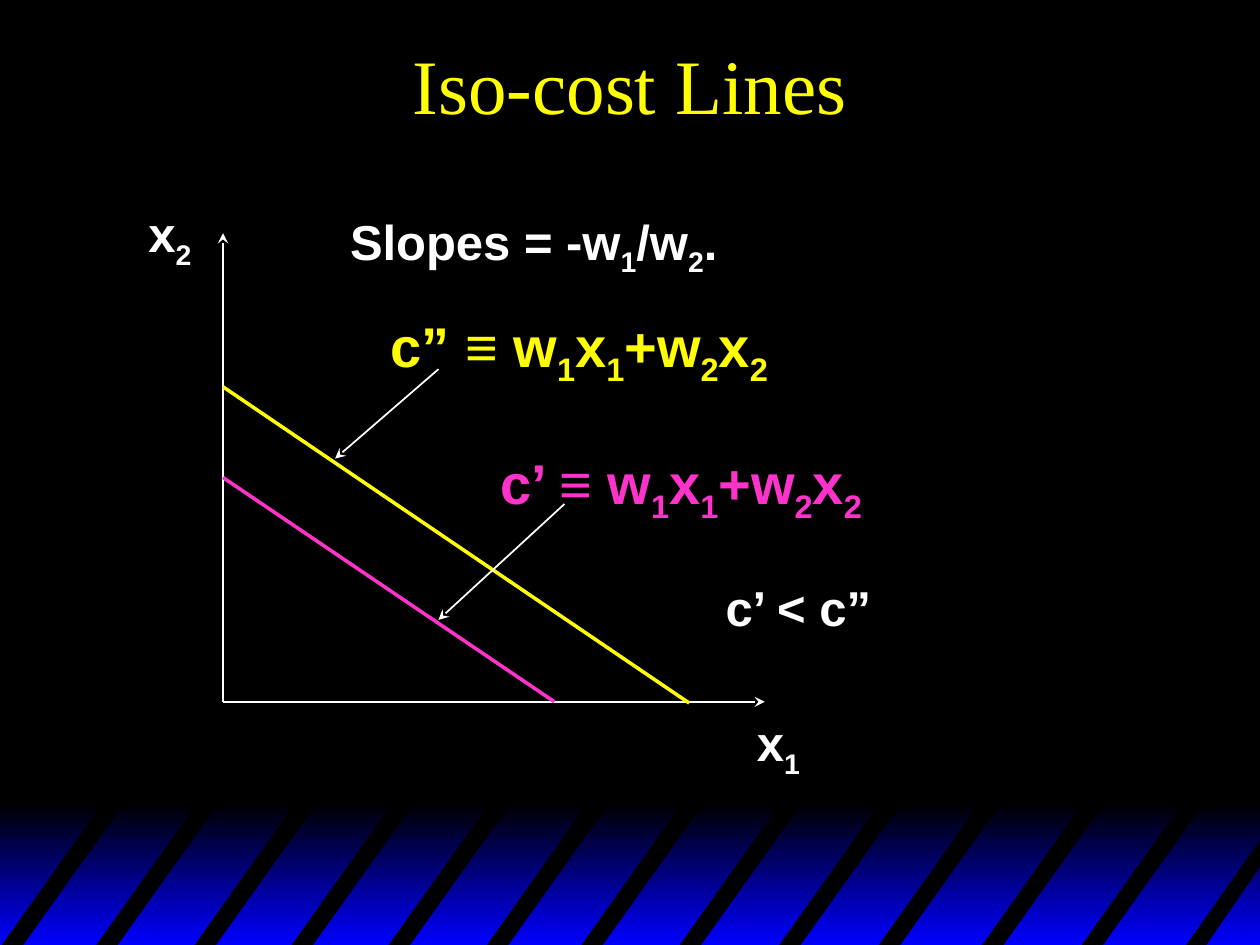
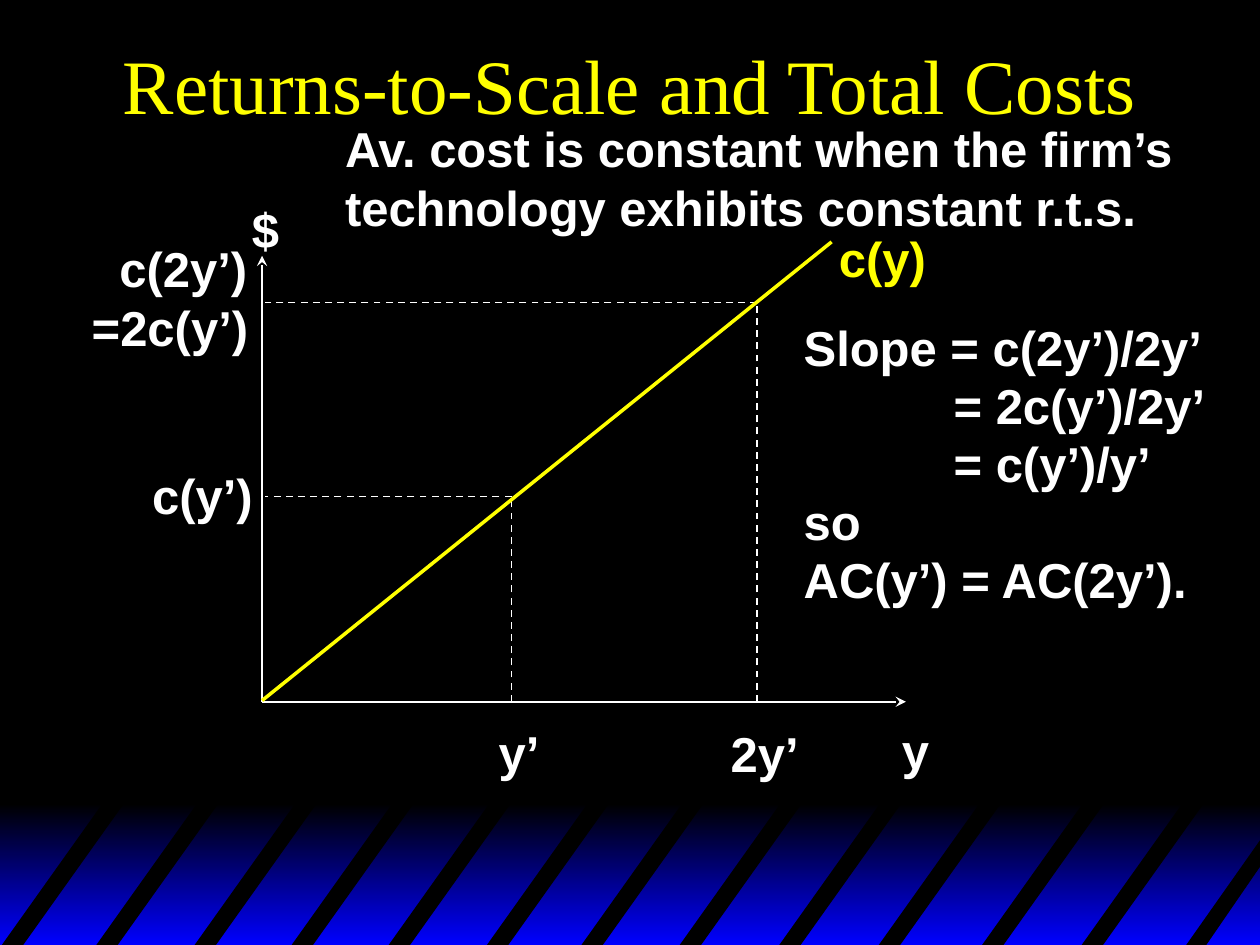
from dataclasses import dataclass

from lxml.etree import SubElement
from pptx import Presentation
from pptx.dml.color import RGBColor as RGB
from pptx.enum.dml import MSO_LINE
from pptx.enum.shapes import MSO_CONNECTOR as CONNECTOR, MSO_SHAPE as SHAPE
from pptx.enum.text import MSO_ANCHOR as ANCHOR, MSO_AUTO_SIZE as AUTO_SIZE, PP_ALIGN as ALIGN
from pptx.oxml.ns import qn
from pptx.util import Emu, Pt

SCALE = 9144
TITLE_ONLY = 5


def px(length):
    return Emu(length * SCALE)


@dataclass(frozen=True)
class Theme:
    black: RGB = RGB(0, 0, 0)
    blue: RGB = RGB(0, 0, 255)
    white: RGB = RGB(255, 255, 255)
    yellow: RGB = RGB(255, 255, 0)
    pink: RGB = RGB(255, 51, 204)
    title_font: str = "Times New Roman"
    body_font: str = "Arial"
    title_size: int = 44
    equation_size: int = 32
    body_size: int = 28
    thin: int = 1
    thick: int = 2
    inset: int = 5


class SlideBuilder:
    def __init__(self, deck, theme):
        self.deck = deck
        self.theme = theme
        self.page = None

    def new_page(self, title):
        theme = self.theme
        self.page = self.deck.slides.add_slide(self.deck.slide_layouts[TITLE_ONLY])
        box = self.page.shapes.title
        box.left, box.top, box.width, box.height = map(px, (0, 0, 1000, 133))
        frame = box.text_frame
        frame.vertical_anchor = ANCHOR.MIDDLE
        frame.auto_size = AUTO_SIZE.NONE
        para = frame.paragraphs[0]
        para.alignment = ALIGN.CENTER
        self.add_span(para, title, theme.title_font, theme.title_size, theme.yellow)

    def add_span(self, para, words, font, size, color, bold=False, subscript=False):
        span = para.add_run()
        span.text = words
        span.font.name = font
        span.font.size = Pt(size)
        span.font.bold = bold
        span.font.color.rgb = color
        if subscript:
            span._r.get_or_add_rPr().set("baseline", "-25000")

    def add_math(self, para, words, size, color):
        """An underscore lowers the one character that follows it."""
        plain, *lowered = words.split("_")
        pieces = [(plain, False)]
        for piece in lowered:
            pieces += [(piece[0], True), (piece[1:], False)]
        for piece, subscript in pieces:
            if piece:
                self.add_span(para, piece, self.theme.body_font, size, color, True, subscript)

    def add_text(self, left, top, width, height, *lines, color=None, size=None, indents=None, joined=False):
        theme = self.theme
        box = self.page.shapes.add_textbox(*map(px, (left, top, width, height)))
        frame = box.text_frame
        frame.word_wrap = False
        frame.auto_size = AUTO_SIZE.SHAPE_TO_FIT_TEXT
        para = frame.paragraphs[0]
        for row, words in enumerate(lines):
            if row and joined:
                para.add_line_break()
            elif row:
                para = frame.add_paragraph()
            if indents and indents[row]:
                para._p.get_or_add_pPr().set("marL", str(px(indents[row])))
            para.line_spacing = px((height - 2 * theme.inset) // len(lines))
            self.add_math(para, words, size or theme.body_size, color or theme.white)

    def add_line(self, start, end, color=None, weight=None, arrow=False, dashed=False):
        line = self.page.shapes.add_connector(CONNECTOR.STRAIGHT, *map(px, start + end))
        line.line.color.rgb = color or self.theme.white
        line.line.width = Pt(weight or self.theme.thin)
        if dashed:
            line.line.dash_style = MSO_LINE.DASH
        if arrow:
            SubElement(line.get_or_add_ln(), qn("a:tailEnd"), type="stealth")
        SubElement(line.element.spPr, qn("a:effectLst"))

    def add_axes(self, origin, top, right):
        self.add_line(origin, (origin[0], top), arrow=True)
        self.add_line(origin, (right, origin[1]), arrow=True)

    def add_stripe(self, points):
        builder = self.page.shapes.build_freeform(*points[0], scale=SCALE)
        builder.add_line_segments(points[1:], close=True)
        stripe = builder.convert_to_shape()
        stripe.fill.solid()
        stripe.fill.fore_color.rgb = self.theme.black
        return stripe

    def add_master_band(self):
        theme = self.theme
        master = self.deck.slide_master
        master.background.fill.solid()
        master.background.fill.fore_color.rgb = theme.black
        band = self.page.shapes.add_shape(SHAPE.RECTANGLE, *map(px, (0, 638, 1002, 112)))
        band.fill.gradient()
        band.fill.gradient_angle = 270
        for stop, color in zip(band.fill.gradient_stops, (theme.black, theme.blue)):
            stop.color.rgb = color
        parts = [band]
        for left in (0, 75, 153, 230, 307, 385, 460, 538, 617, 696, 778, 857):
            parts.append(self.add_stripe(
                [(left, 752), (left + 84, 634), (left + 101, 634), (left + 17, 752)]))
        parts.append(self.add_stripe([(940, 752), (1002, 664), (1002, 685), (956, 752)]))
        for order, part in enumerate(parts):
            part.shadow.inherit = False
            part.line.fill.background()
            part.element.nvSpPr.cNvPr.id = 101 + order
            master.shapes.element.insert(2 + order, part.element)


def build_iso_cost(builder):
    theme = builder.theme
    builder.add_axes((177, 557), 185, 607)
    builder.add_line((547, 558), (177, 307), theme.yellow, theme.thick)
    builder.add_line((440, 557), (177, 379), theme.pink, theme.thick)
    builder.add_text(387, 351, 319, 71, "c’ ≡ w_1x_1+w_2x_2",
                     color=theme.pink, size=theme.equation_size)
    builder.add_text(300, 242, 329, 71, "c” ≡ w_1x_1+w_2x_2",
                     color=theme.yellow, size=theme.equation_size)
    builder.add_line((348, 293), (266, 364), arrow=True)
    builder.add_line((448, 400), (348, 492), arrow=True)
    builder.add_text(566, 453, 138, 57, "c’ < c”")
    builder.add_text(591, 561, 54, 63, "x_1")
    builder.add_text(108, 157, 54, 63, "x_2")
    builder.add_text(268, 163, 312, 63, "Slopes = -w_1/w_2.")


def build_total_costs(builder):
    theme = builder.theme
    origin = (208, 557)
    builder.add_axes(origin, 203, 719)
    builder.add_text(706, 567, 42, 57, "y")
    builder.add_text(190, 153, 42, 57, "$")
    builder.add_text(656, 176, 89, 57, "c(y)", color=theme.yellow)
    for output, cost in ((601, 240), (406, 394)):
        builder.add_line((output, origin[1]), (output, cost), dashed=True)
        builder.add_line((output, cost), (origin[0] + 2, cost), dashed=True)
    builder.add_text(386, 568, 53, 57, "y’")
    builder.add_text(570, 569, 74, 57, "2y’")
    builder.add_text(111, 364, 100, 57, "c(y’)")
    builder.add_text(63, 184, 144, 104, "c(2y’)", "=2c(y’)", indents=(22, 0))
    builder.add_line((208, 556), (660, 192), theme.yellow, theme.thick)
    builder.add_text(628, 248, 339, 244, "Slope = c(2y’)/2y’", "= 2c(y’)/2y’", "= c(y’)/y’",
                     "so", "AC(y’) = AC(2y’).", indents=(0, 119, 119, 0, 0))
    builder.add_text(264, 89, 683, 104, "Av. cost is constant when the firm’s",
                     "technology exhibits constant r.t.s.", joined=True)


def main():
    deck = Presentation()
    deck.slide_width, deck.slide_height = px(1000), px(750)
    builder = SlideBuilder(deck, Theme())
    builder.new_page("Iso-cost Lines")
    builder.add_master_band()
    build_iso_cost(builder)
    builder.new_page("Returns-to-Scale and Total Costs")
    build_total_costs(builder)
    deck.save("out.pptx")


if __name__ == "__main__":
    main()
